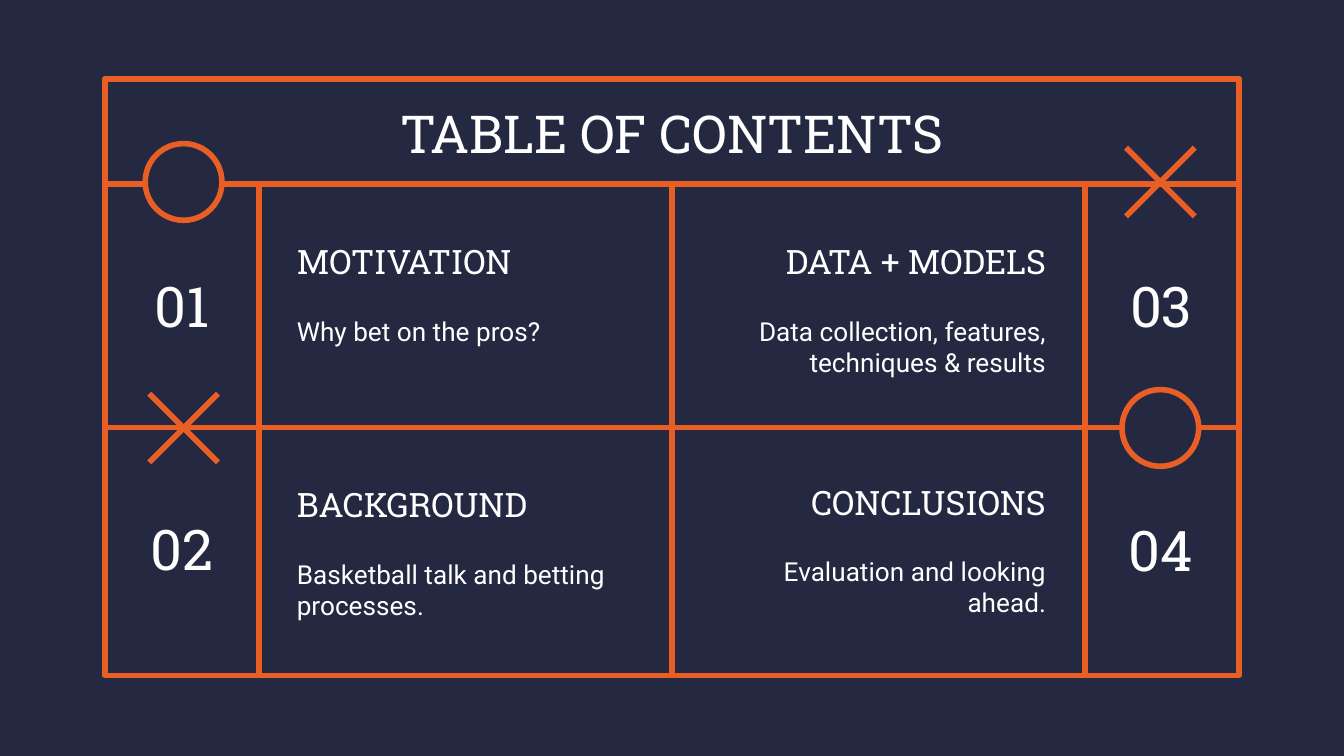
from lxml.etree import SubElement
from pptx import Presentation
from pptx.dml.color import RGBColor
from pptx.enum.shapes import MSO_CONNECTOR, MSO_SHAPE
from pptx.enum.text import MSO_ANCHOR, MSO_AUTO_SIZE, PP_ALIGN
from pptx.oxml.ns import qn
from pptx.util import Cm, Pt

NAVY, ORANGE, WHITE = "242841", "E95E24", "FFFFFF"
SLAB, SANS = "Roboto Slab", "Roboto"
LEFT, TOP, WIDTH, HEIGHT = 1.98, 1.49, 21.44, 11.28
RIGHT, BOTTOM = LEFT + WIDTH, TOP + HEIGHT
CENTER = LEFT + WIDTH / 2
HEAD_Y, MID_Y = 3.48, 8.08
SIDE = 2.92
MARK_IN = 1.49
MARK_YS = (3.44, 8.09)


def paint(code):
    """Turn a hex string into a colour."""
    return RGBColor.from_string(code)


def write(shape, text, font=SLAB, size=18, color=WHITE, align=PP_ALIGN.LEFT,
          anchor=MSO_ANCHOR.MIDDLE, inset=0.25):
    """Put formatted text into a shape."""
    frame = shape.text_frame
    frame.word_wrap = True
    frame.auto_size = MSO_AUTO_SIZE.NONE
    frame.vertical_anchor = anchor
    frame.margin_left = frame.margin_right = frame.margin_bottom = Cm(0.25)
    frame.margin_top = Cm(inset)
    frame.text = text
    line = frame.paragraphs[0]
    line.alignment = align
    line.font.name = font
    line.font.size = Pt(size)
    line.font.color.rgb = paint(color)


class Board:
    """Hold the style and the current slide."""

    def __init__(self, slide, stroke=ORANGE, back=NAVY, weight=3):
        """Set the style and fill the background."""
        self.slide, self.stroke, self.back, self.weight = slide, stroke, back, weight
        slide.background.fill.solid()
        slide.background.fill.fore_color.rgb = paint(back)

    def trace(self, shape):
        """Give a shape the outline style."""
        shape.line.color.rgb = paint(self.stroke)
        shape.line.width = Pt(self.weight)

    def title(self, text, x, y, w, h, **style):
        """Place and format the title."""
        shape = self.slide.shapes.title
        shape.left, shape.top, shape.width, shape.height = map(Cm, (x, y, w, h))
        write(shape, text, **style)

    def label(self, text, x, y, w, h, **style):
        """Add a text box."""
        write(self.slide.shapes.add_textbox(*map(Cm, (x, y, w, h))), text, **style)

    def shape(self, kind, x, y, w, h, filled=False):
        """Add an outlined shape."""
        shape = self.slide.shapes.add_shape(kind, *map(Cm, (x, y, w, h)))
        shape.shadow.inherit = False
        if filled:
            shape.fill.solid()
            shape.fill.fore_color.rgb = paint(self.back)
        else:
            shape.fill.background()
        self.trace(shape)
        return shape

    def line(self, x1, y1, x2, y2):
        """Add a straight line."""
        line = self.slide.shapes.add_connector(
            MSO_CONNECTOR.STRAIGHT, *map(Cm, (x1, y1, x2, y2)))
        self.trace(line)
        SubElement(line._element.spPr, qn("a:effectLst"))
        return line

    def ring(self, x, y, size=1.45):
        """Add a circle around a point."""
        self.shape(MSO_SHAPE.OVAL, x - size / 2, y - size / 2, size, size, filled=True)

    def cross(self, x, y, arm=0.65):
        """Add a cross around a point."""
        for rise in (arm, -arm):
            self.line(x - arm, y - rise, x + arm, y + rise)


def main():
    """Build the slide."""
    deck = Presentation()
    deck.slide_width, deck.slide_height = Cm(25.4), Cm(14.29)
    board = Board(deck.slides.add_slide(deck.slide_layouts[5]))
    board.title("TABLE OF CONTENTS", LEFT, 1.7, WIDTH, 1.6,
                size=28, align=PP_ALIGN.CENTER)

    frame = board.shape(MSO_SHAPE.RECTANGLE, LEFT, TOP, WIDTH, HEIGHT)
    for y in (HEAD_Y, MID_Y):
        board.line(LEFT, y, RIGHT, y)
    for x in (LEFT + SIDE, RIGHT - SIDE):
        board.line(x, HEAD_Y, x, BOTTOM)
    board.line(CENTER, HEAD_Y, CENTER, BOTTOM).end_connect(frame, 2)

    sides = {PP_ALIGN.LEFT: (2.29, 5.36), PP_ALIGN.RIGHT: (20.79, 13.21)}
    topics = [
        ("01", "MOTIVATION", "Why bet on the pros?", PP_ALIGN.LEFT, 4.22, 5.05),
        ("02", "BACKGROUND", "Basketball talk and betting processes.",
         PP_ALIGN.LEFT, 8.81, 9.63),
        ("03", "DATA + MODELS", "Data collection, features, techniques & results",
         PP_ALIGN.RIGHT, 4.22, 5.05),
        ("04", "CONCLUSIONS", "Evaluation and looking ahead.",
         PP_ALIGN.RIGHT, 8.76, 9.65),
    ]
    for number, head, body, align, y, num_y in topics:
        num_x, x = sides[align]
        board.label(number, num_x, num_y, 2.31, 1.45, size=30, align=PP_ALIGN.CENTER)
        board.label(head, x, y, 6.81, 1.45, align=align)
        board.label(body, x, y + 1.45, 6.81, 1.78, font=SANS, size=14,
                    align=align, anchor=MSO_ANCHOR.TOP, inset=0.29)

    high, low = MARK_YS
    near, far = LEFT + MARK_IN, RIGHT - MARK_IN
    board.cross(far, high)
    board.ring(near, high)
    board.cross(near, low)
    board.ring(far, low)
    deck.save("out.pptx")


if __name__ == "__main__":
    main()
